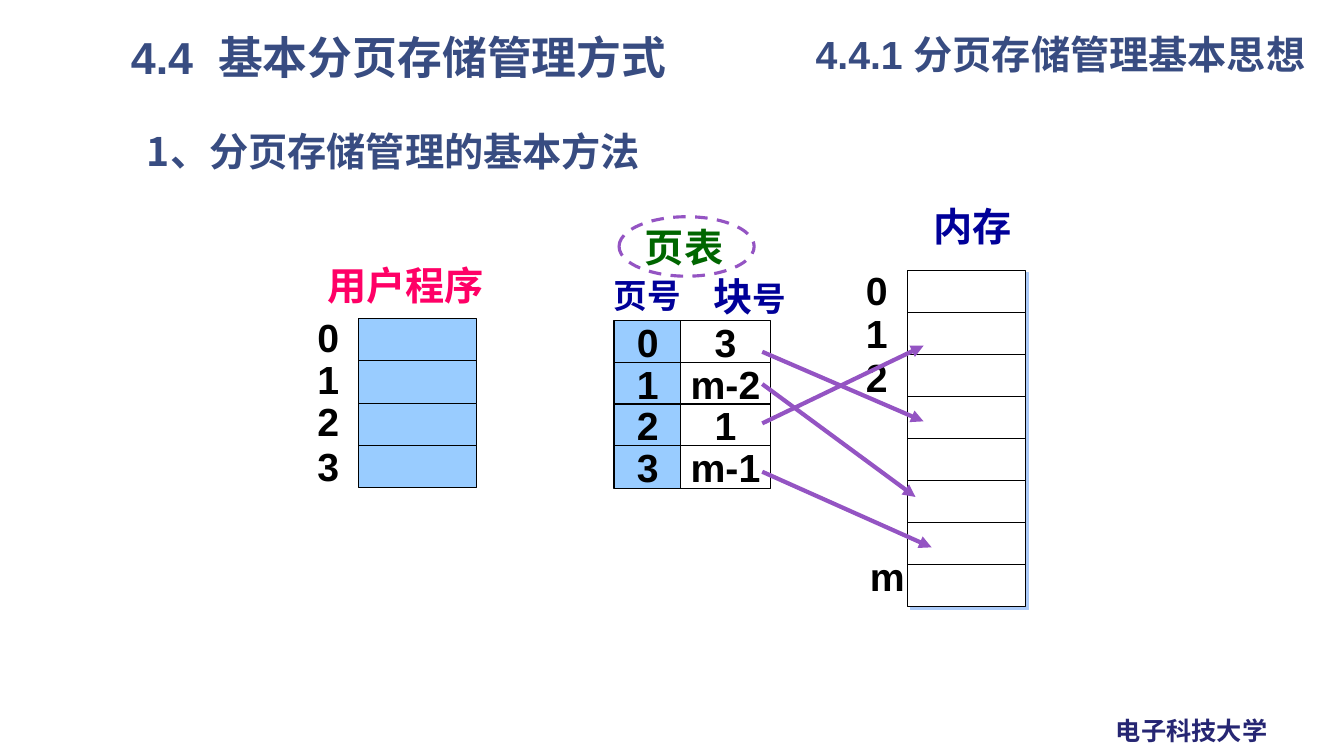
from lxml import etree
from pptx import Presentation
from pptx.dml.color import RGBColor
from pptx.enum import dml, shapes, text
from pptx.oxml import ns
from pptx.util import Inches, Pt

NAVY, BLUE, PURPLE, SKY = "384C81", "000099", "9454C3", "99CCFF"
BLACK, WHITE, SHADOW = "000000", "FFFFFF", "ACCBF9"
CJK = "Noto Sans CJK SC"

TITLE = "4.4.1 分页存储管理基本思想"
# text, (left, top, width, height), format
HEADINGS = [
    ("4.4  基本分页存储管理方式", (1.2, 0.31, 5.73, 0.6), dict(size=32, color=NAVY, spacing=0.9)),
    ("1、分页存储管理的基本方法", (1.36, 1.27, 5.74, 0.63),
     dict(color=NAVY, spacing=0.9, font=CJK)),
]
LABELS = [
    ("内存", (9.16, 1.96, 1.16, 0.57), dict(color=BLUE)),
    ("用户程序", (3.15, 2.54, 1.84, 0.57), dict(color="FF0066")),
    (" 页表", (6.21, 2.17, 1.35, 0.57), dict(color="006600")),
    ("页号", (5.99, 2.68, 0.87, 0.5), dict(size=24, color=BLUE, wrap=False)),
    ("电子科技大学", (10.97, 7.05, 1.72, 0.4), dict(size=18, color="262673", wrap=False)),
]
# text, left, top, width of the row numbers
ROW_NUMBERS = [
    ("0", 3.05, 3.06, 0.42), ("1", 3.05, 3.48, 0.42),
    ("2", 3.05, 3.89, 0.42), ("3", 3.05, 4.34, 0.42),
    ("0", 8.49, 2.59, 0.42), ("1", 8.49, 3.02, 0.42),
    ("2", 8.49, 3.46, 0.42), ("m", 8.53, 5.43, 0.55),
]
# cell texts, left, top, width, row pitch, fill, shadowed
COLUMNS = [
    ([""] * 8, 9, 2.68, 1.17, 0.417, WHITE, True),
    ([""] * 4, 3.56, 3.16, 1.17, 0.42, SKY, False),
    (["0", "1", "2", "3"], 6.09, 3.18, 0.67, 0.414, SKY, False),
    (["3", "m-2", "1", "m-1"], 6.75, 3.18, 0.89, 0.414, WHITE, False),
]
CELL_H = 0.42
ARROW_X = 7.56
# start y, end x, end y: page table entry to memory block
ARROWS = [(3.49, 9.16, 4.18), (3.81, 9.08, 4.93), (4.2, 9.16, 3.43), (4.68, 9.24, 5.43)]
ELLIPSE = (6.14, 2.15, 1.34, 0.59)


def rgb(value):
    return RGBColor.from_string(value)


def box(values):
    return [Inches(v) for v in values]


def add_run(p, content, size=28, color=BLACK, font="Arial"):
    r = p.add_run()
    r.text = content
    r.font.size, r.font.bold, r.font.name = Pt(size), True, font
    r.font.color.rgb = rgb(color)
    ea = etree.Element(ns.qn("a:ea"), typeface=CJK)
    r.font._element.find(ns.qn("a:latin")).addnext(ea)


def write(sp, content, wrap=True, align=text.PP_ALIGN.LEFT, anchor=text.MSO_ANCHOR.TOP,
          spacing=None, **fmt):
    tf = sp.text_frame
    tf.auto_size = text.MSO_AUTO_SIZE.NONE
    tf.word_wrap, tf.vertical_anchor = wrap, anchor
    p = tf.paragraphs[0]
    p.alignment = align
    if spacing:
        p.line_spacing = spacing
    add_run(p, content, **fmt)
    return p


def add_text(s, content, at, **fmt):
    return write(s.shapes.add_textbox(*box(at)), content, **fmt)


def add_cell(s, content, at, fill, shadowed):
    sp = s.shapes.add_shape(shapes.MSO_SHAPE.RECTANGLE, *box(at))
    sp.shadow.inherit = False
    sp.fill.solid()
    sp.fill.fore_color.rgb = rgb(fill)
    sp.line.color.rgb = rgb(BLACK)
    sp.line.width = Pt(0.75)
    if shadowed:
        effects = sp._element.spPr.find(ns.qn("a:effectLst"))
        shadow = etree.SubElement(effects, ns.qn("a:outerShdw"), dist=str(Pt(2.8)),
                                  dir="2700000", algn="ctr", rotWithShape="0")
        etree.SubElement(shadow, ns.qn("a:srgbClr"), val=SHADOW)
    if content:
        write(sp, content, wrap=False, align=text.PP_ALIGN.CENTER,
              anchor=text.MSO_ANCHOR.MIDDLE)


def add_arrow(s, *ends):
    line = s.shapes.add_connector(shapes.MSO_CONNECTOR.STRAIGHT, *box(ends))
    line.line.color.rgb = rgb(PURPLE)
    line.line.width = Pt(3)
    etree.SubElement(line.line._get_or_add_ln(), ns.qn("a:tailEnd"), type="triangle")
    etree.SubElement(line._element.spPr, ns.qn("a:effectLst"))


def main():
    prs = Presentation()
    prs.slide_width, prs.slide_height = Inches(13.33), Inches(7.5)
    s = prs.slides.add_slide(prs.slide_layouts[5])

    # Title and headings
    title = s.shapes.title
    title.left, title.top, title.width, title.height = box((7.99, 0.3, 5.22, 0.6))
    write(title, TITLE, color=NAVY, spacing=0.9)
    for content, at, fmt in HEADINGS:
        add_text(s, content, at, **fmt)

    # Memory, user program and page table
    for cells, left, top, width, pitch, fill, shadowed in COLUMNS:
        for row, content in enumerate(cells):
            add_cell(s, content, (left, top + row * pitch, width, CELL_H), fill, shadowed)

    # Labels and row numbers
    for content, at, fmt in LABELS:
        add_text(s, content, at, **fmt)
    p = add_text(s, "块", (6.98, 2.65, 0.93, 0.57), color=BLUE, wrap=False)
    add_run(p, "号", size=24, color=BLUE)
    for content, left, top, width in ROW_NUMBERS:
        add_text(s, content, (left, top, width, 0.57), wrap=False)

    # Mapping arrows
    for start_y, end_x, end_y in ARROWS:
        add_arrow(s, ARROW_X, start_y, end_x, end_y)

    # Dashed ring round the page table label
    ring = s.shapes.add_shape(shapes.MSO_SHAPE.OVAL, *box(ELLIPSE))
    ring.shadow.inherit = False
    ring.fill.background()
    ring.line.color.rgb = rgb(PURPLE)
    ring.line.width = Pt(2.25)
    ring.line.dash_style = dml.MSO_LINE.DASH

    prs.save("out.pptx")


if __name__ == "__main__":
    main()
